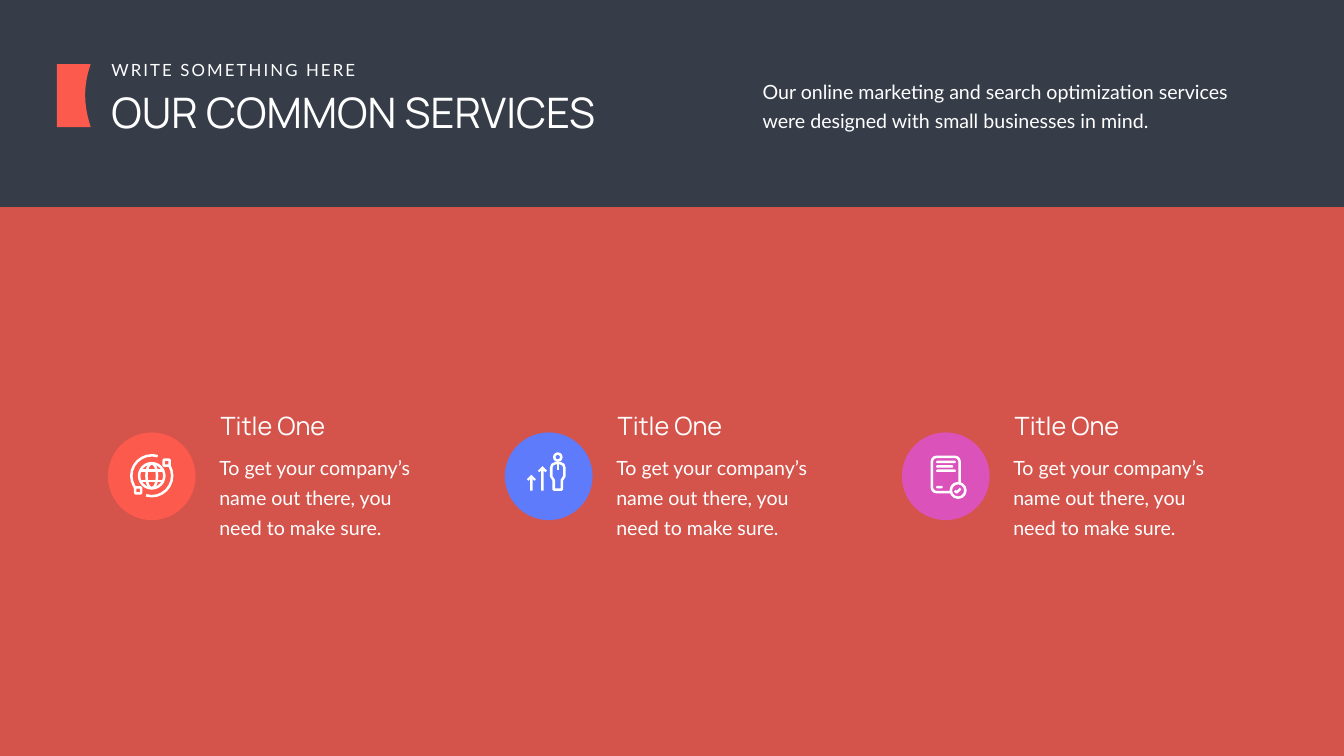
from dataclasses import dataclass
from typing import Callable

from lxml import etree
from pptx import Presentation
from pptx.dml.color import RGBColor
from pptx.enum.shapes import MSO_CONNECTOR as Connector, MSO_SHAPE as Preset
from pptx.enum.text import MSO_ANCHOR as Anchor, MSO_AUTO_SIZE as AutoSize, PP_ALIGN as Align
from pptx.oxml.ns import qn
from pptx.util import Inches, Pt


@dataclass(frozen=True)
class Theme:
    dark: str = "363D48"
    coral: str = "FC5A4C"
    blue: str = "5E7BFB"
    pink: str = "DC52BB"
    white: str = "FFFFFF"
    heading_font: str = "Manrope"
    body_font: str = "Lato"
    title_size: int = 60
    card_title_size: int = 36
    body_size: int = 28
    kicker_size: int = 24
    icon_stroke: float = 3.6


@dataclass(frozen=True)
class Pen:
    """Draws white icon parts, in inches from the centre of a disc."""
    shapes: object
    x: float
    y: float

    def outline(self, kind, cx: float, cy: float, width: float, height: float, fill: str = ""):
        shape = add_shape(self.shapes, kind, self.x + cx - width / 2,
                          self.y + cy - height / 2, width, height, fill)
        stroke(shape.line)
        return shape

    def bar(self, left: float, cy: float, width: float) -> None:
        shape = add_shape(self.shapes, Preset.ROUNDED_RECTANGLE, self.x + left,
                          self.y + cy - 0.025, width, 0.05, THEME.white)
        shape.adjustments[0] = 0.5

    def arc(self, cy: float, radius: float, start: float, end: float) -> None:
        shape = self.outline(Preset.ARC, 0, cy, 2 * radius, 2 * radius)
        # Arc angles are stored in 60000ths, adjustments in 100000ths
        shape.adjustments[0] = start * 0.6
        shape.adjustments[1] = end * 0.6

    def line(self, x1: float, y1: float, x2: float, y2: float) -> None:
        line = self.shapes.add_connector(
            Connector.STRAIGHT, Inches(self.x + x1), Inches(self.y + y1),
            Inches(self.x + x2), Inches(self.y + y2))
        etree.SubElement(line._element.spPr, qn("a:effectLst"))
        stroke(line.line)

    def path_of(self, points: list, close: bool = False) -> None:
        shape = add_outline(self.shapes, [(self.x + x, self.y + y) for x, y in points], close)
        shape.fill.background()
        stroke(shape.line)

    def arrow(self, cx: float, top: float, bottom: float) -> None:
        half = [(0, top), (0.09, top + 0.09), (0.06, top + 0.12), (0.025, top + 0.085),
                (0.025, bottom)]
        points = [(cx + x, y) for x, y in half] + [(cx - x, y) for x, y in reversed(half[1:])]
        add_solid(self.shapes, [(self.x + x, self.y + y) for x, y in points], THEME.white)


@dataclass(frozen=True)
class Service:
    title: str
    text: str
    color: str
    draw_icon: Callable[[Pen], None]


THEME = Theme()
DISC = 1.74
FIRST_DISC_LEFT, DISC_TOP, PITCH = 2.14, 8.58, 7.875


def stroke(line) -> None:
    line.color.rgb = RGBColor.from_string(THEME.white)
    line.width = Pt(THEME.icon_stroke)


def add_shape(shapes, kind, left: float, top: float, width: float, height: float, fill: str):
    shape = shapes.add_shape(kind, Inches(left), Inches(top), Inches(width), Inches(height))
    shape.shadow.inherit = False
    shape.line.fill.background()
    if fill:
        shape.fill.solid()
        shape.fill.fore_color.rgb = RGBColor.from_string(fill)
    else:
        shape.fill.background()
    return shape


def add_outline(shapes, points: list, close: bool):
    corners = [(Inches(x), Inches(y)) for x, y in points]
    builder = shapes.build_freeform(*corners[0], scale=1.0)
    builder.add_line_segments(corners[1:], close=close)
    shape = builder.convert_to_shape()
    shape.shadow.inherit = False
    return shape


def add_solid(shapes, points: list, fill: str) -> None:
    shape = add_outline(shapes, points, close=True)
    shape.fill.solid()
    shape.fill.fore_color.rgb = RGBColor.from_string(fill)
    shape.line.fill.background()


def write(box, text: str, font: str, size: int, anchor=Anchor.MIDDLE,
          leading: float = 0, spacing: float = 0) -> None:
    frame = box.text_frame
    frame.text = text
    frame.word_wrap = True
    frame.auto_size = AutoSize.NONE
    frame.vertical_anchor = anchor
    para = frame.paragraphs[0]
    para.alignment = Align.LEFT
    para.line_spacing = Pt(leading) if leading else 1.0
    span = para.runs[0]
    span.font.name = font
    span.font.size = Pt(size)
    span.font.color.rgb = RGBColor.from_string(THEME.white)
    if spacing:
        span.font._element.set("spc", str(int(spacing * 100)))


def add_box(shapes, left: float, top: float, width: float, height: float):
    return shapes.add_textbox(Inches(left), Inches(top), Inches(width), Inches(height))


def draw_globe(pen: Pen) -> None:
    middle = -0.01
    for width in (0.5, 0.21):
        pen.outline(Preset.OVAL, 0, middle, width, 0.5)
    for offset in (-0.1, 0.1):
        pen.line(-0.22, middle + offset, 0.22, middle + offset)
    # Orbit with a node at each break
    pen.arc(middle, 0.405, 330, 106)
    pen.arc(middle, 0.405, 146, 287)
    for x, y in ((0.295, -0.27), (-0.27, 0.28)):
        pen.outline(Preset.ROUNDED_RECTANGLE, x, y, 0.12, 0.12)


def draw_growth(pen: Pen) -> None:
    # Person
    middle = 0.18
    half = [(0.05, -0.26), (0.11, -0.23), (0.13, -0.17), (0.13, 0), (0.08, 0.08), (0.08, 0.265)]
    right = [(middle + x, y) for x, y in half]
    left = [(middle - x, y) for x, y in reversed(half)]
    pen.path_of(right + left, close=True)
    pen.outline(Preset.OVAL, middle, -0.38, 0.14, 0.14)
    pen.line(middle, -0.24, middle, -0.12)
    # Rising arrows
    for x, top in ((-0.345, -0.03), (-0.125, -0.2)):
        pen.arrow(x, top, 0.285)


def draw_document(pen: Pen) -> None:
    page = pen.outline(Preset.ROUNDED_RECTANGLE, 0, -0.035, 0.55, 0.7)
    page.adjustments[0] = 0.17
    for y, width in ((-0.285, 0.39), (-0.195, 0.34), (-0.11, 0.39), (0.215, 0.13)):
        pen.bar(-0.19, y, width)
    # Check badge
    pen.outline(Preset.OVAL, 0.245, 0.28, 0.29, 0.29, THEME.pink)
    pen.path_of([(0.18, 0.285), (0.215, 0.32), (0.295, 0.245)])


def draw_service(shapes, service: Service, left: float) -> None:
    add_shape(shapes, Preset.OVAL, left, DISC_TOP, DISC, DISC, service.color)
    service.draw_icon(Pen(shapes, left + DISC / 2, DISC_TOP + DISC / 2))
    title_box = add_box(shapes, left + 2.14, 8.09, 2.42, 0.71)
    write(title_box, service.title, THEME.heading_font, THEME.card_title_size)
    text_box = add_box(shapes, left + 1.97, 8.8, 4.66, 1.99)
    frame = text_box.text_frame
    frame.margin_left = frame.margin_right = Inches(0.24)
    frame.margin_top = frame.margin_bottom = Inches(0.12)
    write(text_box, service.text, THEME.body_font, THEME.body_size, Anchor.TOP, leading=43)


def draw_header(shapes) -> None:
    title = shapes.title
    title.left, title.top = Inches(2.11), Inches(1.67)
    title.width, title.height = Inches(11.22), Inches(1.11)
    write(title, "OUR COMMON SERVICES", THEME.heading_font, THEME.title_size)
    kicker = add_box(shapes, 2.11, 1.13, 5.14, 0.5)
    write(kicker, "WRITE SOMETHING HERE", THEME.body_font, THEME.kicker_size, spacing=3)
    intro = add_box(shapes, 15.03, 1.44, 9.52, 1.19)
    write(intro, "Our online marketing and search optimization services were designed "
          "with small businesses in mind.", THEME.body_font, THEME.body_size, Anchor.TOP, 40.8)
    # Marker with a curved right edge, a cubic curve sampled in short steps
    xs, ys, steps = (1.8, 1.68, 1.63, 1.8), (1.27, 1.61, 2.0, 2.52), 24
    curve = []
    for step in range(steps + 1):
        t = step / steps
        weights = ((1 - t) ** 3, 3 * t * (1 - t) ** 2, 3 * t * t * (1 - t), t ** 3)
        curve.append(tuple(sum(w * v for w, v in zip(weights, axis)) for axis in (xs, ys)))
    add_solid(shapes, [(1.13, 1.27), *curve, (1.13, 2.52)], THEME.coral)


def main() -> None:
    deck = Presentation()
    deck.slide_width, deck.slide_height = Inches(26.66), Inches(15)
    page = deck.slides.add_slide(deck.slide_layouts[5])
    page.background.fill.solid()
    page.background.fill.fore_color.rgb = RGBColor.from_string(THEME.dark)
    draw_header(page.shapes)
    # Translucent panel
    panel = add_shape(page.shapes, Preset.RECTANGLE, 0, 4.11, 26.66, 10.89, THEME.coral)
    color = panel._element.spPr.find(qn("a:solidFill"))[0]
    etree.SubElement(color, qn("a:alpha")).set("val", "80000")
    # Services
    text = "To get your company’s name out there, you need to make sure."
    looks = ((THEME.coral, draw_globe), (THEME.blue, draw_growth), (THEME.pink, draw_document))
    for index, (fill, icon) in enumerate(looks):
        draw_service(page.shapes, Service("Title One", text, fill, icon),
                     FIRST_DISC_LEFT + index * PITCH)
    deck.save("out.pptx")


if __name__ == "__main__":
    main()
